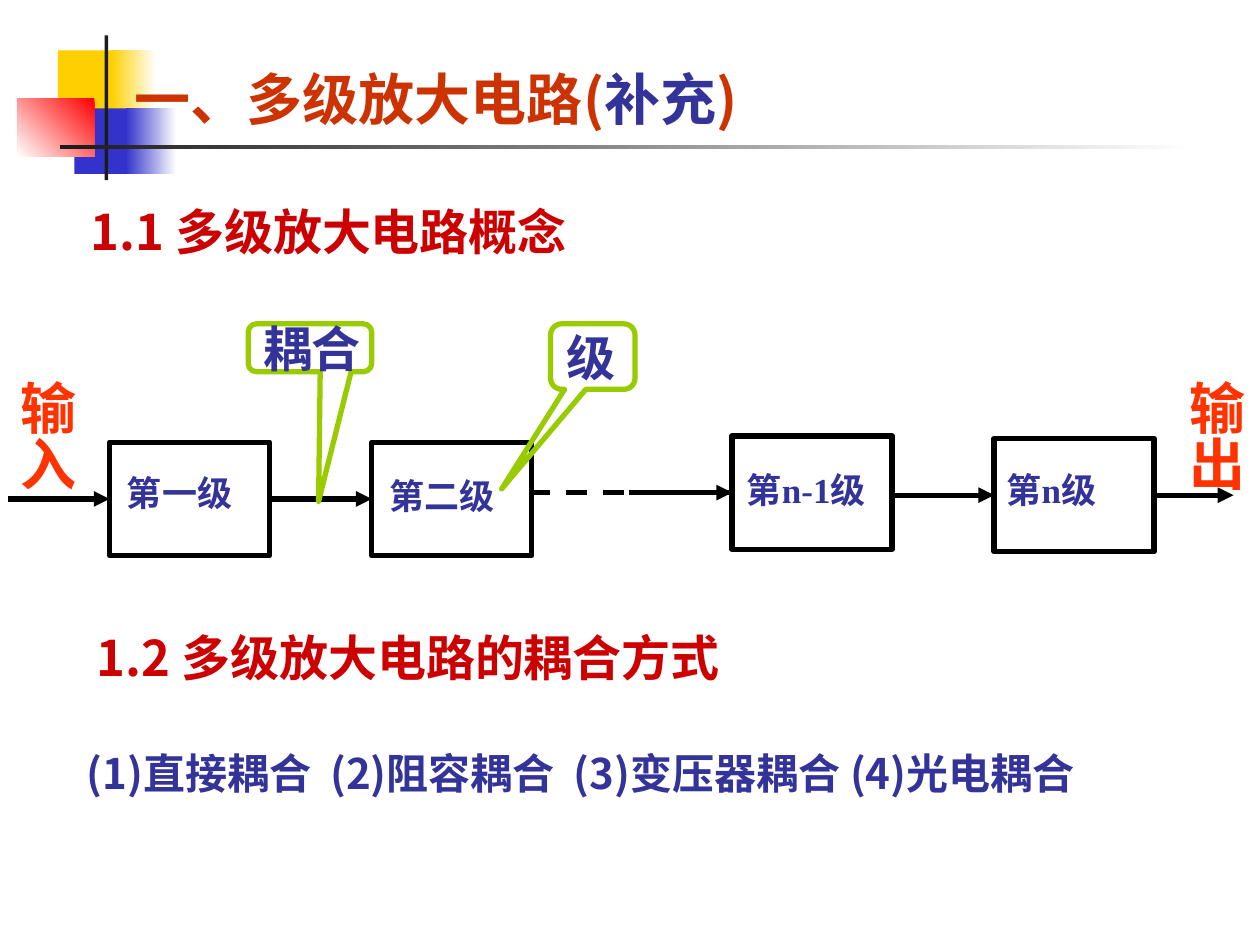
from pptx import Presentation
from pptx.util import Inches, Pt
from pptx.dml.color import RGBColor
from pptx.enum.dml import MSO_LINE
from pptx.enum.shapes import MSO_SHAPE as Shape, MSO_CONNECTOR as Connector
from pptx.enum.text import MSO_ANCHOR as Anchor, MSO_AUTO_SIZE as AutoSize, PP_ALIGN as Align
from pptx.oxml.ns import qn
from lxml.etree import SubElement

THEME = {
    "sans": "Noto Sans CJK SC", "serif": "Times New Roman",
    "title": "CC3300", "text": "333399", "heading": "CC0000", "terminal": "FF3300",
    "callout": "99CC00", "line": "000000", "dark": "1C1C1C", "white": "FFFFFF",
    "yellow": "FFCF01", "blue": "3333CC", "red": "FF0000",
    "large": 32, "medium": 28, "normal": 24, "small": 20, "stroke": 3,
}

DECORATIONS = [
    ((0.46, 0.4, 0.48, 0.52), ["yellow"], None),
    ((0.88, 0.4, 0.36, 0.52), ["white", "yellow"], 180),
    ((0.59, 0.86, 0.46, 0.52), ["blue"], None),
    ((1, 0.86, 0.4, 0.52), ["white", "blue"], 180),
    ((0.14, 0.78, 0.61, 0.46), ["red", "white"], 225),
    ((0.83, 0.28, 0.03, 1.15), ["dark"], None),
    ((0.48, 1.15, 9, 0.03), ["white", "dark"], 180),
]
TITLE = [("一、多级放大电路(", "title"), ("补充", "text"), (")", "title")]
TITLE_AREA = (0.97, 0.44, 5.36, 0.67)

STAGE_SIZE = (1.27, 0.9)
STAGES = [
    ("第一级", 0.87, 3.51, (0.91, 3.69), 0.06),
    ("第二级", 2.95, 3.51, (2.99, 3.72), 2.14),
    ("第n-1级", 5.81, 3.46, (5.83, 3.67), 4.99),
    ("第n级", 7.89, 3.48, (7.89, 3.67), 7.08),
]
DASH_START, OUTPUT_END = 4.2, 9.79
TERMINALS = [("输入", -0.04), ("输出", 9.23)]
CALLOUTS = [
    ("耦合", (1.97, 2.57, 0.98, 0.38), (0.07, 3.21, 0.17)),
    ("级", (4.37, 2.57, 0.67, 0.52), (-1.08, 2.02, 0.17)),
]
TEXTS = [
    ("1.1 多级放大电路概念", (0.62, 1.55, 4.52, 0.57), "medium", "heading"),
    ("1.2 多级放大电路的耦合方式", (0.67, 4.93, 8.03, 0.57), "medium", "heading"),
    ("(1)直接耦合  (2)阻容耦合  (3)变压器耦合 (4)光电耦合",
     (0.59, 5.88, 9.06, 0.5), "normal", "text"),
]


def color(name):
    return RGBColor.from_string(THEME[name])


def format_span(span, size, tone, face):
    font = span.font
    font.name, font.size, font.bold = THEME[face], Pt(THEME[size]), True
    font.color.rgb = color(tone)
    SubElement(font._element, qn("a:ea"), typeface=THEME["sans"])


def write(shape, text, size, tone, face):
    para = shape.text_frame.paragraphs[0]
    para.text = text
    para.alignment = Align.LEFT
    format_span(para.runs[0], size, tone, face)


def add_text(slide, text, area, size, tone, face):
    box = slide.shapes.add_textbox(*map(Inches, area))
    box.text_frame.word_wrap = True
    write(box, text, size, tone, face)
    return box


def add_outline(slide, kind, area, tone):
    shape = slide.shapes.add_shape(kind, *map(Inches, area))
    shape.shadow.inherit = False
    shape.fill.background()
    shape.line.color.rgb = color(tone)
    shape.line.width = Pt(THEME["stroke"])
    return shape


def add_line(slide, start, end, y, arrow=True):
    line = slide.shapes.add_connector(
        Connector.STRAIGHT, Inches(start), Inches(y), Inches(end), Inches(y))
    line.line.color.rgb = color("line")
    line.line.width = Pt(THEME["stroke"])
    if arrow:
        SubElement(line.line._get_or_add_ln(), qn("a:tailEnd"), type="triangle")
    else:
        line.line.dash_style = MSO_LINE.DASH
    SubElement(line._element.spPr, qn("a:effectLst"))
    return line


def add_decorations(slide):
    for area, tones, angle in DECORATIONS:
        block = slide.shapes.add_shape(Shape.RECTANGLE, *map(Inches, area))
        block.shadow.inherit = False
        block.line.fill.background()
        if angle is None:
            block.fill.solid()
            block.fill.fore_color.rgb = color(tones[0])
            continue
        block.fill.gradient()
        block.fill.gradient_angle = angle
        for stop, tone, position in zip(block.fill.gradient_stops, tones, (0, 1)):
            stop.color.rgb = color(tone)
            stop.position = position


def add_title(slide):
    title = slide.shapes.title
    title.left, title.top, title.width, title.height = map(Inches, TITLE_AREA)
    frame = title.text_frame
    frame.auto_size, frame.vertical_anchor = AutoSize.NONE, Anchor.MIDDLE
    para = frame.paragraphs[0]
    para.alignment = Align.LEFT
    para.space_before = Pt(0)
    for text, tone in TITLE:
        span = para.add_run()
        span.text = text
        format_span(span, "large", tone, "sans")
    slide.shapes._spTree.append(title._element)


def add_stages(slide):
    width, height = STAGE_SIZE
    previous = None
    for label, left, top, label_at, start in STAGES:
        box = add_outline(slide, Shape.RECTANGLE, (left, top, width, height), "line")
        middle = top + height / 2
        arrow = add_line(slide, start, left, middle)
        arrow.end_connect(box, 1)
        if previous is not None and previous.top == box.top:
            arrow.begin_connect(previous, 3)
        if label == "第n-1级":
            dash = add_line(slide, DASH_START, left, middle, arrow=False)
            dash.end_connect(box, 1)
        add_text(slide, label, (*label_at, 1.5, 0.44), "small", "text", "serif")
        previous = box
    output = add_line(slide, left + width, OUTPUT_END, middle)
    output.begin_connect(previous, 3)


def add_terminals(slide):
    for label, left in TERMINALS:
        box = add_text(slide, label, (left, 2.92, 0.73, 1.21), "large", "terminal", "serif")
        frame = box.text_frame
        frame.margin_left = frame.margin_right = Inches(0.05)
        frame.margin_top = frame.margin_bottom = Inches(0.1)
        frame._txBody.bodyPr.set("vert", "eaVert")


def add_callouts(slide):
    for label, area, adjustments in CALLOUTS:
        callout = add_outline(slide, Shape.ROUNDED_RECTANGULAR_CALLOUT, area, "callout")
        for index, value in enumerate(adjustments):
            callout.adjustments[index] = value
        callout.text_frame.word_wrap = False
        callout.text_frame.vertical_anchor = Anchor.MIDDLE
        write(callout, label, "medium", "text", "serif")


def main():
    deck = Presentation()
    deck.slide_width, deck.slide_height = Inches(10), Inches(7.5)
    page = deck.slides.add_slide(deck.slide_layouts[5])
    add_decorations(page)
    add_title(page)
    add_stages(page)
    add_terminals(page)
    add_callouts(page)
    for text, area, size, tone in TEXTS:
        add_text(page, text, area, size, tone, "sans")
    deck.save("out.pptx")


if __name__ == "__main__":
    main()
